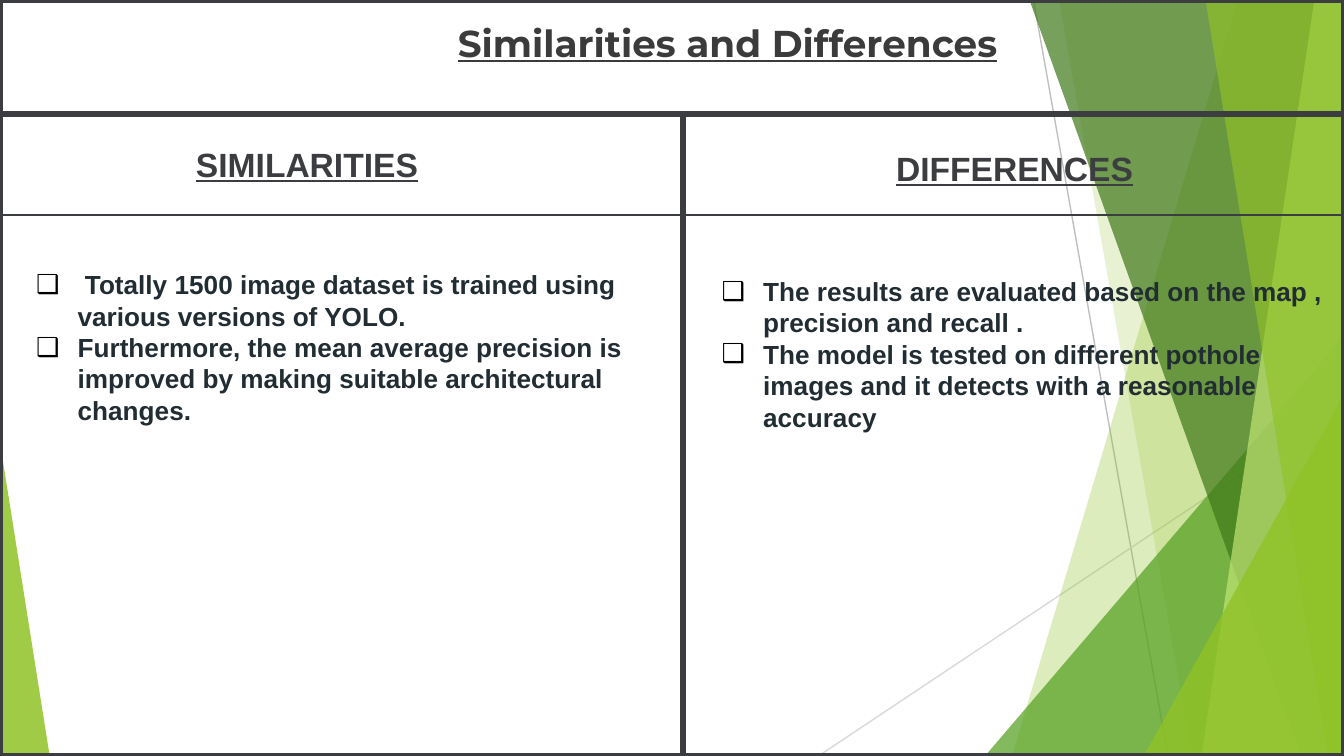
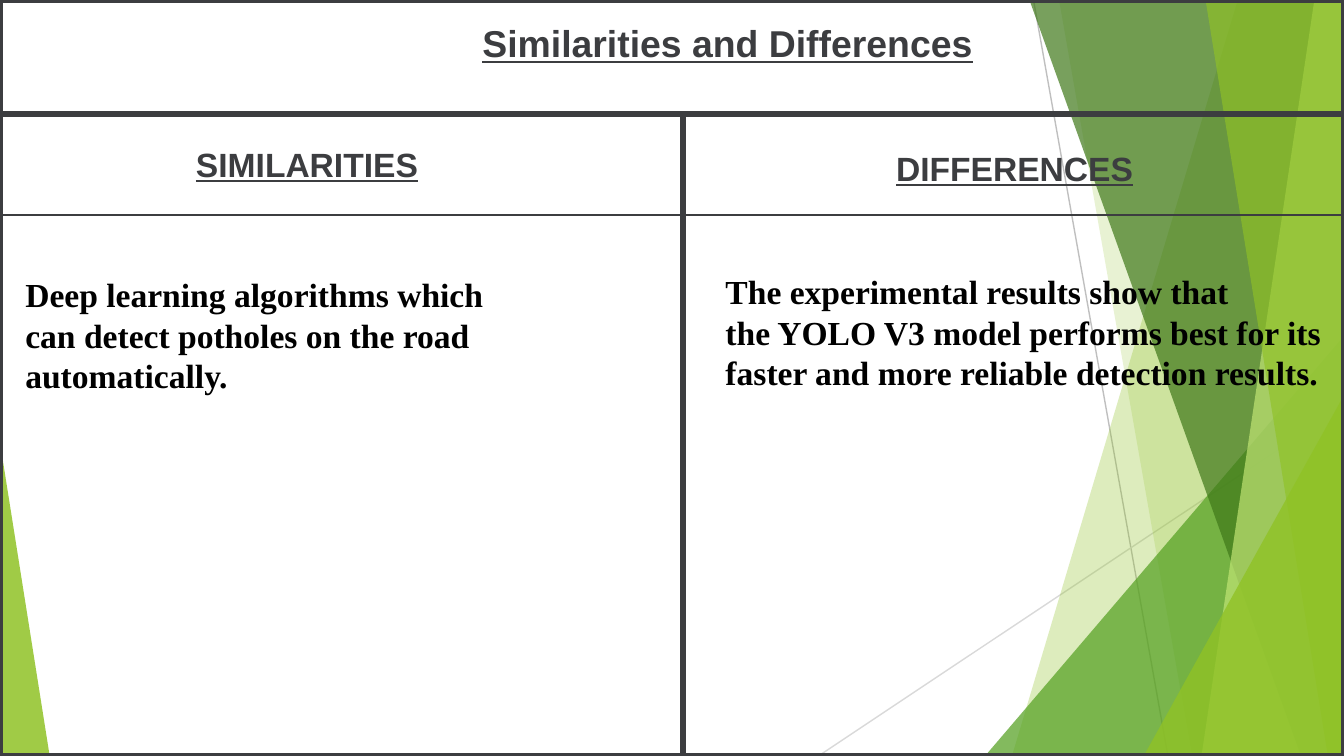
import lxml.etree
import pptx
import pptx.dml.color
import pptx.enum.shapes
import pptx.enum.text
import pptx.oxml.ns
import pptx.util

qn = pptx.oxml.ns.qn
MSO_SHAPE = pptx.enum.shapes.MSO_SHAPE
STRAIGHT = pptx.enum.shapes.MSO_CONNECTOR.STRAIGHT
PP_ALIGN = pptx.enum.text.PP_ALIGN
DARK = "3C3D40"
LIME = "90C226"
COLUMNS, ROWS = 1000, 562.5


def color(value):
    return pptx.dml.color.RGBColor.from_string(value)


def write(shape, *texts, font="Arial", size=18, ink=DARK, underline=False,
          align=PP_ALIGN.LEFT, bullet=None, insets=(10, 5)):
    frame = shape.text_frame
    frame.word_wrap = True
    frame.auto_size = pptx.enum.text.MSO_AUTO_SIZE.NONE
    frame.vertical_anchor = pptx.enum.text.MSO_ANCHOR.TOP
    frame.margin_left = frame.margin_right = insets[0] * cell
    frame.margin_top = frame.margin_bottom = insets[1] * cell
    frame.text = "\n".join(texts)
    for paragraph in frame.paragraphs:
        paragraph.alignment = align
        if bullet:
            properties = paragraph._p.get_or_add_pPr()
            properties.set("marL", str(31 * cell))
            properties.set("indent", str(-31 * cell))
            bullet_color = lxml.etree.SubElement(properties, qn("a:buClr"))
            lxml.etree.SubElement(bullet_color, qn("a:srgbClr"), val="000000")
            lxml.etree.SubElement(properties, qn("a:buFont"), typeface="Arial")
            lxml.etree.SubElement(properties, qn("a:buChar"), char=bullet)
        for run in paragraph.runs:
            run.font.name = font
            run.font.size = pptx.util.Pt(size)
            run.font.bold = True
            run.font.underline = underline
            run.font.color.rgb = color(ink)


presentation = pptx.Presentation()
cell = pptx.util.Inches(0.01)
presentation.slide_width = COLUMNS * cell
presentation.slide_height = int(ROWS * cell)
layout = presentation.slide_layouts.get_by_name("Title Only")
for placeholder in list(layout.placeholders):
    if placeholder.placeholder_format.idx >= 10:
        layout.shapes.element.remove(placeholder.element)

thin_lines = [
    ("BFBFBF", 0.75, 769, 0, 869, ROWS),
    ("D9D9D9", 0.75, COLUMNS, 302, 609, ROWS),
]
grid_lines = [
    (DARK, 3, 508, 85, 508, ROWS),
    (DARK, 3, 0, 85, COLUMNS, 85),
    (DARK, 1.5, 0, 160, COLUMNS, 160),
]
facets = [
    ("band", 921, 753, LIME, 30),
    ("band", 788, 887, LIME, 20),
    ("triangle", (733, 250, COLUMNS), 1, "54A021", 72),
    ("band", 766, 968, "3F7819", 70),
    ("band", 978, 894, "C0E474", 70),
    ("band", 897, 988, LIME, 65),
    ("triangle", (851, 294, COLUMNS), 1, LIME, 80),
    ("triangle", (0, 329, 37), 0, LIME, 85),
]
pages = [
    {
        "title": {"font": "Montserrat", "ink": "3B3B3B"},
        "body": {"size": 14, "ink": "212D32", "bullet": "❑"},
        "columns": [
            ((17, 195, 460, 135), [
                " Totally 1500 image dataset is trained using various versions of YOLO.",
                "Furthermore, the mean average precision is improved by making suitable architectural changes.",
            ]),
            ((527, 200, 482, 182), [
                "The results are evaluated based on the map , precision and recall .",
                "The model is tested on different pothole images and it detects with a reasonable accuracy",
            ]),
        ],
    },
    {
        "title": {"font": "Arial", "ink": DARK},
        "body": {"font": "Times New Roman", "ink": "000000"},
        "columns": [
            ((9, 199, 460, 101), [
                "Deep learning algorithms which",
                "can detect potholes on the road automatically.",
            ]),
            ((530, 197, 470, 131), [
                "The experimental results show that",
                "the YOLO V3 model performs best for its faster and more reliable detection results.",
            ]),
        ],
    },
]
headings = [
    ("SIMILARITIES", (136, 102, 252, 40), PP_ALIGN.LEFT),
    ("DIFFERENCES", (533, 105, 444, 40), PP_ALIGN.CENTER),
]

for number, page in enumerate(pages):
    slide = presentation.slides.add_slide(layout)
    shapes = slide.shapes
    lines = grid_lines if number else thin_lines + grid_lines
    for ink, weight, *ends in lines:
        line = shapes.add_connector(STRAIGHT, *[int(end * cell) for end in ends])
        line.line.color.rgb = color(ink)
        line.line.width = pptx.util.Pt(weight)
        lxml.etree.SubElement(line.element.spPr, qn("a:effectLst"))
        if (ink, weight, *ends) in thin_lines:
            layout.shapes.element.append(line.element)

    if number == 0:
        for kind, start, finish, ink, opacity in facets:
            if kind == "band":
                builder = shapes.build_freeform(start * cell, 0)
                builder.add_line_segments([
                    (COLUMNS * cell, 0), (COLUMNS * cell, ROWS * cell), (finish * cell, ROWS * cell)])
                facet = builder.convert_to_shape()
            else:
                left, top, right = start
                facet = shapes.add_shape(
                    MSO_SHAPE.ISOSCELES_TRIANGLE, left * cell, top * cell,
                    (right - left) * cell, int((ROWS - top) * cell))
                facet.adjustments[0] = finish
            facet.shadow.inherit = False
            facet.line.fill.background()
            facet.fill.solid()
            facet.fill.fore_color.rgb = color(ink)
            fill_color = facet.element.spPr.find(".//" + qn("a:srgbClr"))
            lxml.etree.SubElement(fill_color, qn("a:alpha"), val=str(opacity * 1000))
            layout.shapes.element.append(facet.element)

    border = shapes.add_shape(
        MSO_SHAPE.RECTANGLE, 0, 0, presentation.slide_width, presentation.slide_height)
    border.shadow.inherit = False
    border.fill.background()
    border.line.color.rgb = color(DARK)
    border.line.width = pptx.util.Pt(3)

    title = shapes.title
    title.left, title.top, title.width, title.height = [
        length * cell for length in (121, 11, 841, 51)]
    write(title, "Similarities and Differences", size=20, underline=True,
          align=PP_ALIGN.CENTER, insets=(7, 4), **page["title"])
    for text, area, align in headings:
        heading = shapes.add_textbox(*[length * cell for length in area])
        write(heading, text, underline=True, align=align)
    for area, texts in page["columns"]:
        body = shapes.add_textbox(*[length * cell for length in area])
        write(body, *texts, **page["body"])

presentation.save("out.pptx")
